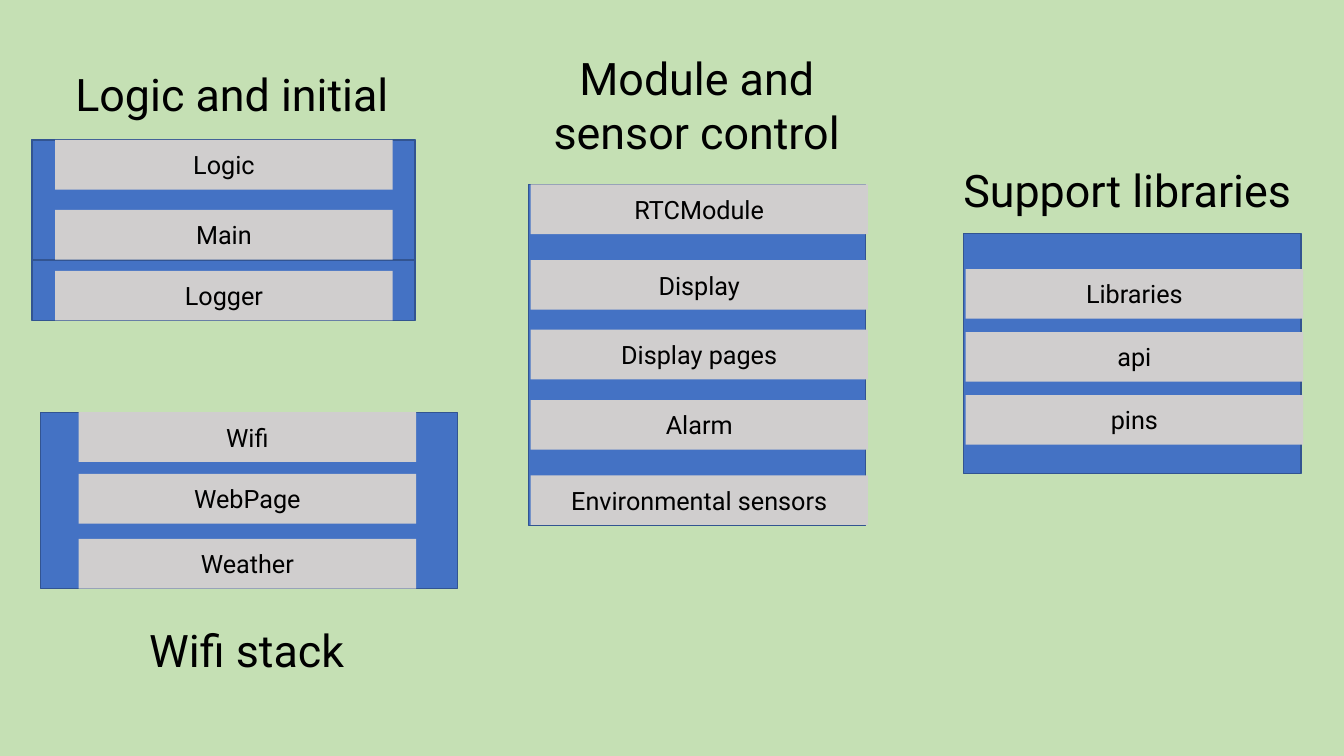
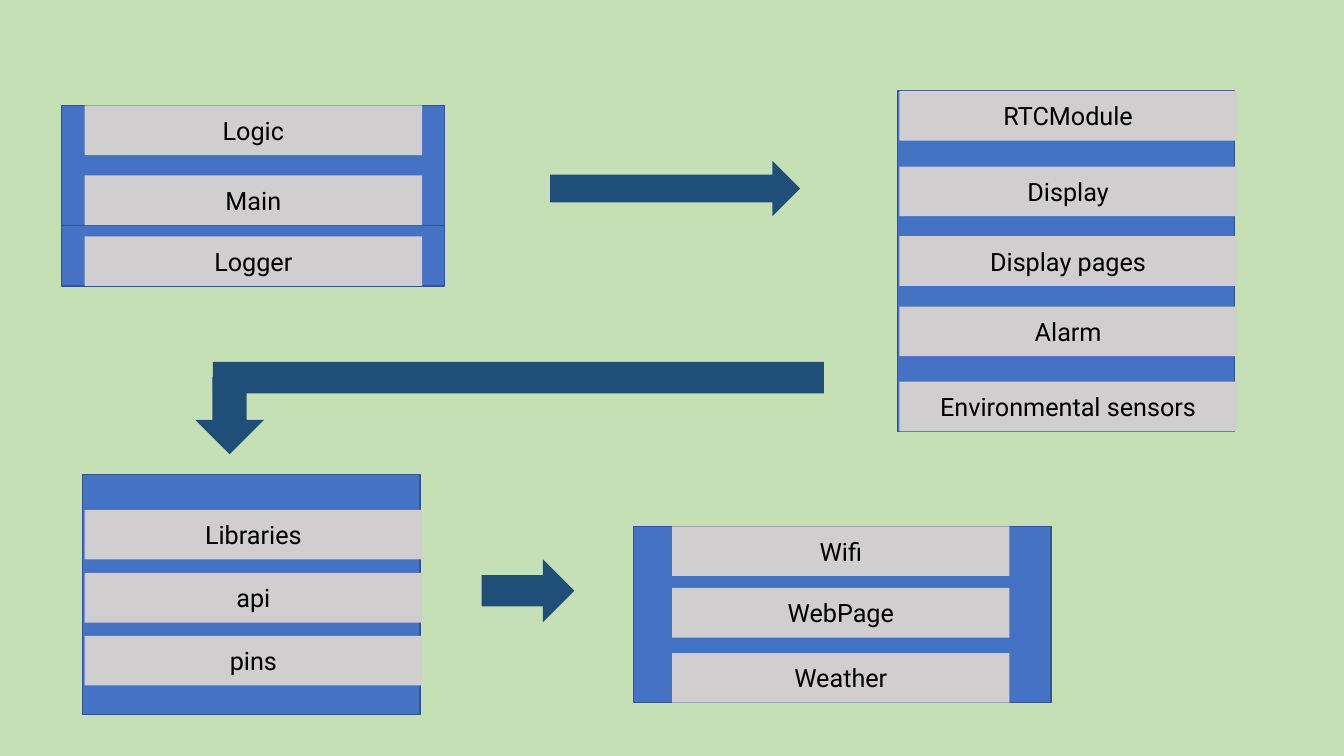
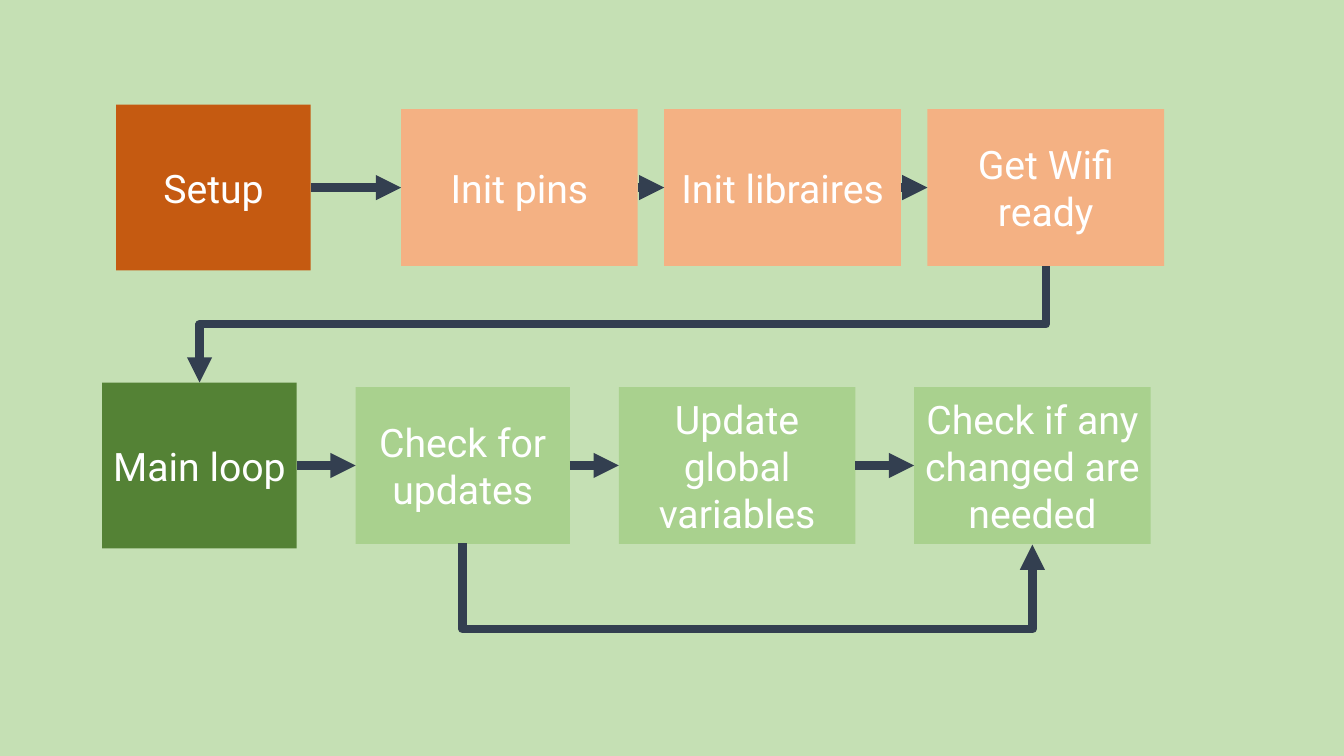
from pptx import Presentation
from pptx.dml.color import RGBColor
from pptx.enum.shapes import MSO_CONNECTOR, MSO_SHAPE
from pptx.enum.text import MSO_ANCHOR, PP_ALIGN
from pptx.oxml.ns import qn
from pptx.util import Pt
from lxml.etree import SubElement

FONT = "Roboto"
COLORS = {
    "background": "C5E0B4", "panel": "4472C4", "panel_line": "325491",
    "bar": "D0CECE", "arrow": "1F4E79", "link": "333F50",
    "setup": "C55A11", "setup_step": "F4B183",
    "loop": "548235", "loop_step": "A9D18E",
    "black": "000000", "white": "FFFFFF",
}
BAR_W, BAR_H = 241, 35.5

# Panel size, indent of the bars, and each bar with its distance from the panel top
STACKS = {
    "logic": (273.6, 129, 16.5, [("Logic", 0), ("Main", 50), ("Logger", 93.5)]),
    "modules": (241, 243.4, 1.5, [("RTCModule", 0), ("Display", 54), ("Display pages", 103.7),
                                  ("Alarm", 154), ("Environmental sensors", 207.7)]),
    "support": (241, 171.5, 1.5, [("Libraries", 25.2), ("api", 70.2), ("pins", 115.2)]),
    "wifi": (298, 126, 27.4, [("Wifi", 0), ("WebPage", 44), ("Weather", 90.5)]),
}
LOGIC_UPPER_H = 85.7


def write(shape, text, size, color, outline=False):
    """Put centred text in the shape, with an optional thin outline on its letters."""
    tf = shape.text_frame
    tf.word_wrap = True
    p = tf.paragraphs[0]
    p.alignment = PP_ALIGN.CENTER
    r = p.add_run()
    r.text = text
    r.font.name = FONT
    r.font.size = Pt(size)
    r.font.color.rgb = RGBColor.from_string(COLORS[color])
    if outline:
        ln = SubElement(r._r.get_or_add_rPr(), qn("a:ln"), w=str(Pt(0.75)))
        fill = SubElement(ln, qn("a:solidFill"))
        SubElement(fill, qn("a:srgbClr"), val=COLORS[color])
        r._r.rPr.insert(0, ln)


def add_block(s, x, y, w, h, fill, line=None, kind=MSO_SHAPE.RECTANGLE):
    sp = s.shapes.add_shape(kind, Pt(x), Pt(y), Pt(w), Pt(h))
    sp.shadow.inherit = False
    sp.fill.solid()
    sp.fill.fore_color.rgb = RGBColor.from_string(COLORS[fill])
    if line:
        sp.line.color.rgb = RGBColor.from_string(COLORS[line])
        sp.line.width = Pt(1)
    else:
        sp.line.fill.background()
    sp.text_frame.vertical_anchor = MSO_ANCHOR.MIDDLE
    return sp


prs = Presentation()
prs.slide_width, prs.slide_height = Pt(960), Pt(540)
background = prs.slide_master.background.fill
background.solid()
background.fore_color.rgb = RGBColor.from_string(COLORS["background"])
groups, flow, loop = [prs.slides.add_slide(prs.slide_layouts[6]) for _ in range(3)]

# Slides 1 and 2: the four stacks
places = [
    (groups, {"logic": (23, 100), "modules": (377.5, 131.8),
              "support": (688.3, 167), "wifi": (28.8, 294.5)}),
    (flow, {"logic": (44, 75.3), "modules": (641, 65),
            "support": (59, 339), "wifi": (452.7, 376)}),
]
for s, corners in places:
    for name, (x, y) in corners.items():
        w, h, indent, bars = STACKS[name]
        add_block(s, x, y, w, h, "panel", "panel_line")
        if name == "logic":
            add_block(s, x, y, w, LOGIC_UPPER_H, "panel", "panel_line")
        for text, drop in bars:
            bar = add_block(s, x + indent, y + drop, BAR_W, BAR_H, "bar")
            write(bar, text, 18, "black", outline=True)

# Slide 1: headings
for text, x, y, h in [
    ("Logic and initial", 29, 44, 46),
    ("Module and sensor control", 361, 32.5, 85),
    ("Wifi stack", 39.5, 441.5, 46),
    ("Support libraries", 668.5, 112.5, 46),
]:
    tb = groups.shapes.add_textbox(Pt(x), Pt(y), Pt(273.6), Pt(h))
    write(tb, text, 32, "black")

# Slide 2: arrows between the stacks
for kind, x, y, w, h in [
    (MSO_SHAPE.RIGHT_ARROW, 393, 114.8, 178.5, 39.6),
    (MSO_SHAPE.RECTANGLE, 152, 258.5, 436.5, 22.5),
    (MSO_SHAPE.DOWN_ARROW, 139.5, 269, 49, 55.5),
    (MSO_SHAPE.RIGHT_ARROW, 344, 399.6, 66.2, 44.8),
]:
    add_block(flow, x, y, w, h, "arrow", kind=kind)

# Slide 3: steps in two rows, each row centred on one height
rows = [
    (134, [("Setup", 83, 139, 118.5, "setup"),
           ("Init pins", 286.5, 169, 112, "setup_step"),
           ("Init libraires", 474.5, 169, 112, "setup_step"),
           ("Get Wifi ready", 662.5, 169, 112, "setup_step")]),
    (332.5, [("Main loop", 73, 139, 118.5, "loop"),
             ("Check for updates", 254, 153, 112, "loop_step"),
             ("Update global variables", 442, 169, 112, "loop_step"),
             ("Check if any changed are needed", 653, 169, 112, "loop_step")]),
]
steps, links = [], []
for middle, row in rows:
    boxes = []
    for text, x, w, h, fill in row:
        box = add_block(loop, x, middle - h / 2, w, h, fill)
        write(box, text, 28, "white")
        boxes.append(box)
    links += [(a, 3, b, 1, None) for a, b in zip(boxes, boxes[1:])]
    steps.append(boxes)
setup_row, loop_row = steps

# The last value is how far an elbow goes down before it turns
links.append((setup_row[-1], 2, loop_row[0], 0, 41.6))
links.append((loop_row[-1], 2, loop_row[1], 2, 61.8))
for start, start_site, end, end_site, drop in links:
    kind = MSO_CONNECTOR.ELBOW if drop else MSO_CONNECTOR.STRAIGHT
    c = loop.shapes.add_connector(kind, 0, 0, 0, 0)
    c.begin_connect(start, start_site)
    c.end_connect(end, end_site)
    c.line.color.rgb = RGBColor.from_string(COLORS["link"])
    c.line.width = Pt(6)
    spPr = c._element.spPr
    SubElement(spPr.find(qn("a:ln")), qn("a:tailEnd"), type="triangle")
    SubElement(spPr, qn("a:effectLst"))
    if drop:
        # A quarter turn makes the elbow leave downwards, so width and height swap
        center_x, center_y = (c.begin_x + c.end_x) // 2, (c.begin_y + c.end_y) // 2
        span, fall = c.begin_x - c.end_x, max(c.end_y - c.begin_y, Pt(1))
        c.left, c.top = center_x - fall // 2, center_y - span // 2
        c.width, c.height = fall, span
        xfrm = spPr.find(qn("a:xfrm"))
        xfrm.attrib.pop("flipH", None)
        xfrm.set("rot", "5400000")
        SubElement(spPr.find(qn("a:prstGeom")).find(qn("a:avLst")), qn("a:gd"),
                   name="adj1", fmla=f"val {round(Pt(drop) / fall * 100000)}")

prs.save("out.pptx")
